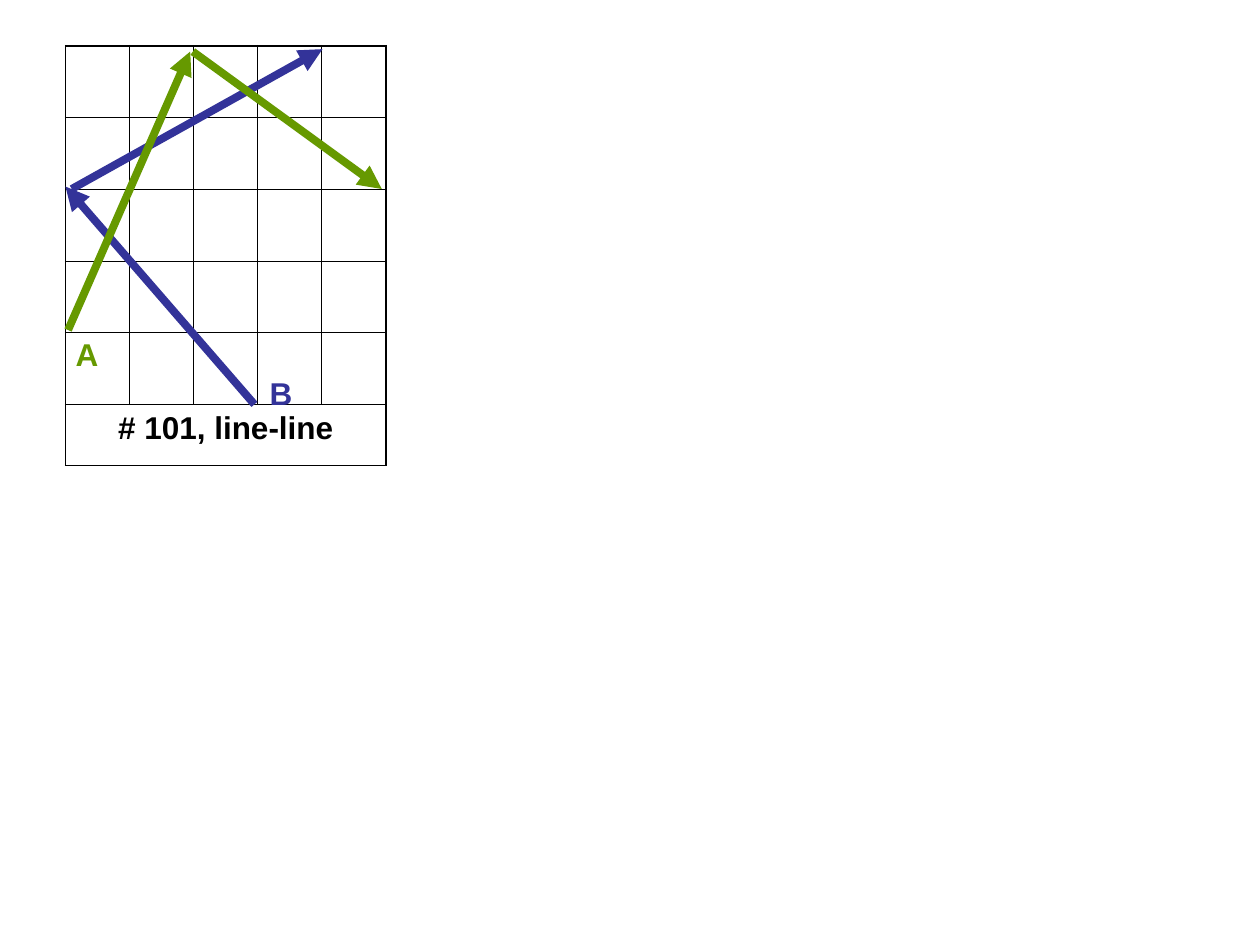
import pptx
import pptx.dml.color
import pptx.enum.shapes
import pptx.enum.text
import pptx.oxml
import pptx.oxml.ns
import pptx.util
from lxml import etree

Pt = pptx.util.Pt
qn = pptx.oxml.ns.qn

BLACK = pptx.dml.color.RGBColor(0x00, 0x00, 0x00)
GREEN = pptx.dml.color.RGBColor(0x66, 0x99, 0x00)
BLUE = pptx.dml.color.RGBColor(0x33, 0x33, 0x99)

FONT = "Arial"
GRID_LEFT, GRID_TOP = 37.5, 26.2
GRID_SIZE = 5
CELL_WIDTH, CELL_HEIGHT, CAPTION_HEIGHT = 36.6, 41, 34.8
THIN, THICK = 0.45, 1.08

# Label, colour, label position, and legs of each path as (start, end)
PATHS = [
    ("B", BLUE, (154.1, 213.8),
     [((145.4, 231.1), (37.4, 106.6)), ((41, 108), (184.3, 28.1))]),
    ("A", GREEN, (43.2, 191.5),
     [((38.9, 188.6), (108.7, 29.5)), ((110.2, 29.5), (218.2, 108))]),
]


def style_text(paragraph, color):
    font = paragraph.runs[0].font
    font.name, font.size, font.bold = FONT, Pt(18), True
    font.color.rgb = color


def set_borders(cell, widths):
    """Give a cell solid black borders; widths run left, right, top, bottom."""
    properties = cell._tc.get_or_add_tcPr()
    for position, (side, width) in enumerate(zip("LRTB", widths)):
        border = etree.Element(qn(f"a:ln{side}"), w=str(int(Pt(width))))
        fill = etree.SubElement(border, qn("a:solidFill"))
        etree.SubElement(fill, qn("a:srgbClr"), val=str(BLACK))
        properties.insert(position, border)


def add_grid(slide, caption):
    last = GRID_SIZE - 1
    grid = slide.shapes.add_table(
        GRID_SIZE + 1, GRID_SIZE, Pt(GRID_LEFT), Pt(GRID_TOP),
        Pt(GRID_SIZE * CELL_WIDTH),
        Pt(GRID_SIZE * CELL_HEIGHT + CAPTION_HEIGHT)).table
    grid.first_row = grid.horz_banding = False
    for column in grid.columns:
        column.width = Pt(CELL_WIDTH)
    for row in grid.rows:
        row.height = Pt(CELL_HEIGHT)
    grid.rows[GRID_SIZE].height = Pt(CAPTION_HEIGHT)

    # Thick outline, thin inner lines
    for r in range(GRID_SIZE + 1):
        for c in range(GRID_SIZE):
            cell = grid.cell(r, c)
            cell.fill.background()
            in_caption = r == GRID_SIZE
            outer = (c == 0, c == last or in_caption, r == 0, in_caption)
            set_borders(cell, [THICK if edge else THIN for edge in outer])

    # Caption across the bottom row
    caption_cell = grid.cell(GRID_SIZE, 0)
    caption_cell.merge(grid.cell(GRID_SIZE, last))
    paragraph = caption_cell.text_frame.paragraphs[0]
    paragraph.text = caption
    paragraph.alignment = pptx.enum.text.PP_ALIGN.CENTER
    paragraph.space_before = Pt(4.5)
    style_text(paragraph, BLACK)


def add_arrow(slide, start, end, color):
    arrow = slide.shapes.add_connector(
        pptx.enum.shapes.MSO_CONNECTOR.STRAIGHT,
        *(Pt(value) for value in start + end))
    arrow.line.color.rgb = color
    arrow.line.width = Pt(4.5)
    etree.SubElement(arrow.line._get_or_add_ln(), qn("a:tailEnd"),
                     type="triangle")
    etree.SubElement(arrow._element.spPr, qn("a:effectLst"))


def add_label(slide, text, position, color):
    left, top = position
    frame = slide.shapes.add_textbox(
        Pt(left), Pt(top), Pt(13), Pt(21.6)).text_frame
    frame.margin_left = frame.margin_right = 0
    frame.margin_top = frame.margin_bottom = 0
    frame.word_wrap = False
    frame.auto_size = pptx.enum.text.MSO_AUTO_SIZE.SHAPE_TO_FIT_TEXT
    frame.text = text
    style_text(frame.paragraphs[0], color)


def main():
    deck = pptx.Presentation()
    deck.slide_width, deck.slide_height = Pt(720), Pt(540)
    slide = deck.slides.add_slide(deck.slide_layouts.get_by_name("Blank"))

    add_grid(slide, "# 101, line-line")
    for _, color, _, legs in PATHS:
        for start, end in legs:
            add_arrow(slide, start, end, color)
    for label, color, position, _ in reversed(PATHS):
        add_label(slide, label, position, color)

    deck.save("out.pptx")


main()
